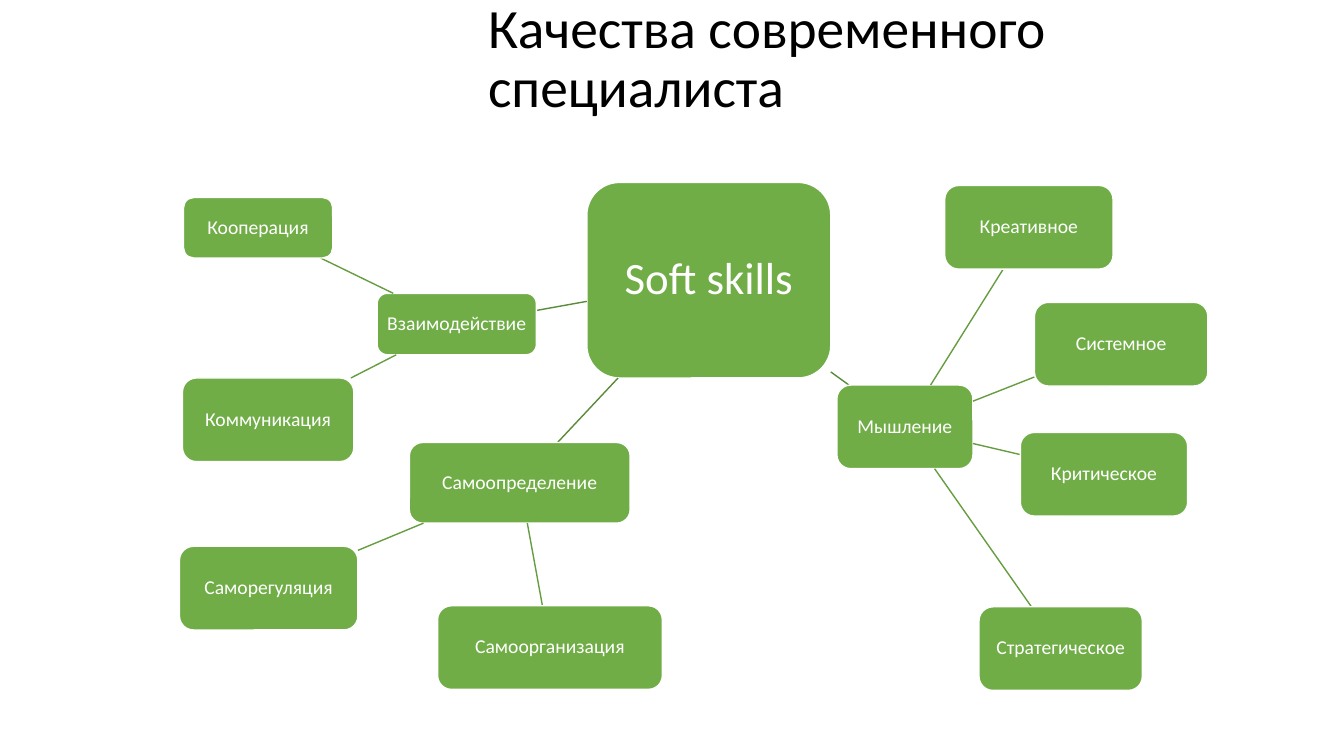
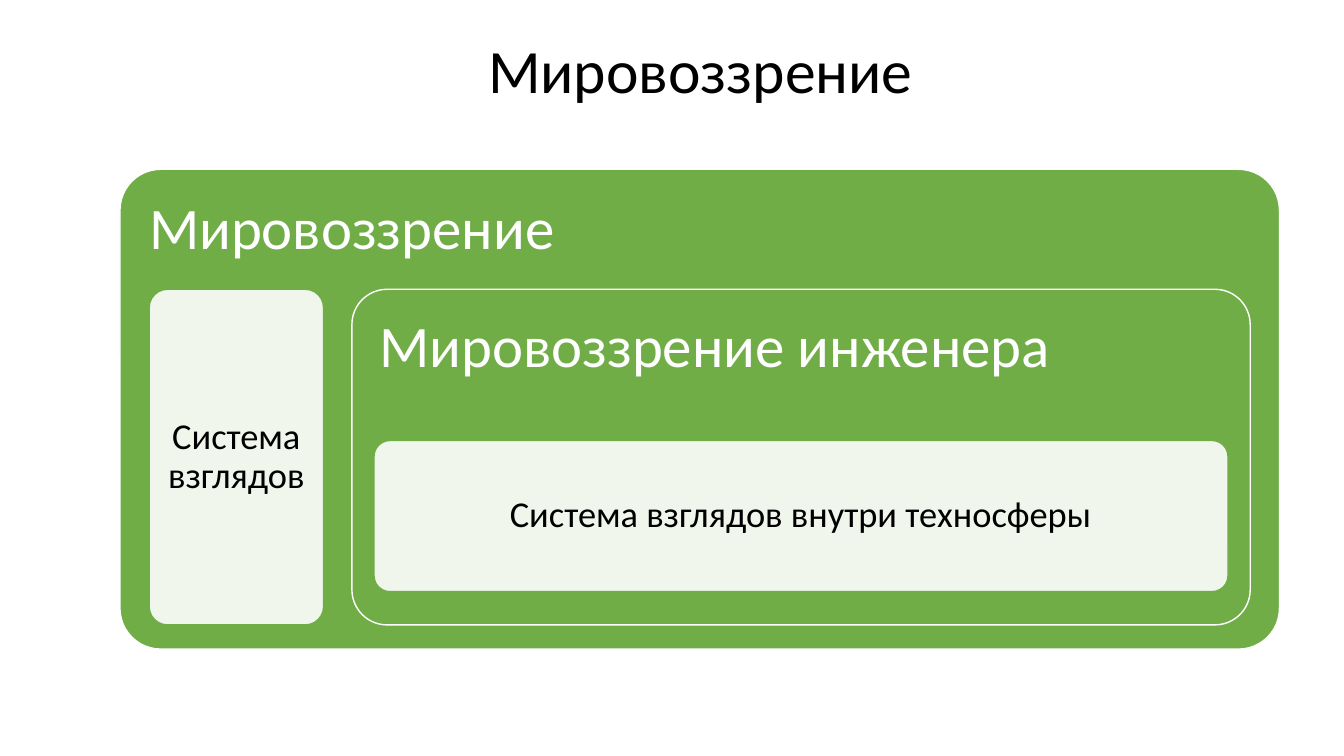
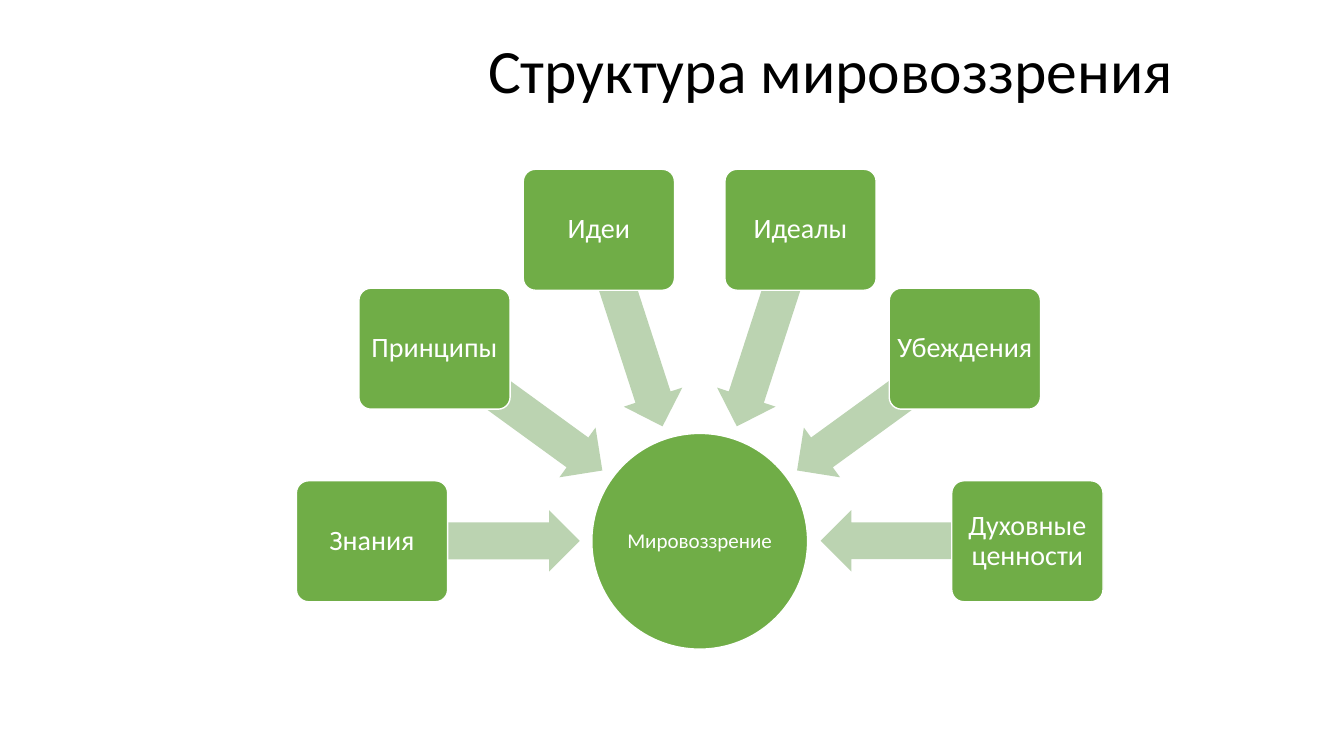
import math

import lxml.etree
import pptx
import pptx.dml.color
import pptx.enum.shapes
import pptx.enum.text
import pptx.oxml.ns
import pptx.util

PX = 9144  # EMU per px, 100 px to the inch
GREEN, TRUNK, BRANCH, PALE_GREEN = "70AD47", "5A8B39", "669D40", "BBD3B1"
WHITE, BLACK = "FFFFFF", "000000"

rgb = pptx.dml.color.RGBColor.from_string
qn = pptx.oxml.ns.qn
SHAPE = pptx.enum.shapes.MSO_SHAPE
ALIGN = pptx.enum.text.PP_ALIGN
ANCHOR = pptx.enum.text.MSO_ANCHOR


def write(frame, text, size, color, margin=None, align=ALIGN.CENTER, anchor=ANCHOR.MIDDLE):
    frame_format = {"word_wrap": True, "auto_size": pptx.enum.text.MSO_AUTO_SIZE.NONE,
                    "vertical_anchor": anchor}
    if margin is not None:
        for side in ("left", "right", "top", "bottom"):
            frame_format[f"margin_{side}"] = margin * PX
    for name, value in frame_format.items():
        setattr(frame, name, value)
    frame.text = text
    paragraph = frame.paragraphs[0]
    for name, value in {"alignment": align, "line_spacing": 0.9}.items():
        setattr(paragraph, name, value)
    for name, value in {"name": "Calibri", "size": pptx.util.Pt(size)}.items():
        setattr(paragraph.font, name, value)
    paragraph.font.color.rgb = rgb(color)


def block(slide, kind, place, fill, line=None, adjustments=()):
    shape = slide.shapes.add_shape(kind, *(round(value) * PX for value in place))
    shape.shadow.inherit = False
    shape.fill.solid()
    shape.fill.fore_color.rgb = rgb(fill)
    if line:
        shape.line.color.rgb = rgb(line)
        shape.line.width = pptx.util.Pt(1)
    else:
        shape.line.fill.background()
    for index, value in enumerate(adjustments):
        shape.adjustments[index] = value
    return shape


deck = pptx.Presentation()
deck.slide_width, deck.slide_height = 1333 * PX, 750 * PX

# Slides with their titles
titles = [
    ("Качества современного специалиста", (474, 0, 842, 119), 39.6),
    ("Мировоззрение", (474, 13, 812, 119), 44),
    ("Структура мировоззрения", (474, 13, 812, 119), 44),
]
for text, place, size in titles:
    title = deck.slides.add_slide(deck.slide_layouts[5]).shapes.title
    for name, value in zip(("left", "top", "width", "height"), place):
        setattr(title, name, value * PX)
    write(title.text_frame, text, size, BLACK, align=ALIGN.LEFT)
skills_slide, worldview_slide, structure_slide = deck.slides

# Slide 1: tree of skills, each with its parent and place
ROOT = "Soft skills"
skills = {
    ROOT: (None, (582, 181, 242, 194)),
    "Мышление": (ROOT, (830, 382, 135, 83)),
    "Креативное": ("Мышление", (937, 184, 167, 83)),
    "Системное": ("Мышление", (1026, 300, 172, 83)),
    "Критическое": ("Мышление", (1012, 429, 166, 83)),
    "Стратегическое": ("Мышление", (971, 602, 162, 83)),
    "Самоопределение": (ROOT, (406, 439, 219, 80)),
    "Самоорганизация": ("Самоопределение", (434, 601, 223, 83)),
    "Саморегуляция": ("Самоопределение", (178, 542, 177, 83)),
    "Взаимодействие": (ROOT, (374, 291, 158, 61)),
    "Коммуникация": ("Взаимодействие", (181, 375, 170, 83)),
    "Кооперация": ("Взаимодействие", (182, 196, 148, 60)),
}
for skill, (parent, place) in skills.items():
    if parent:
        # The link follows the line between centres, cut at both borders
        ends = []
        for here, there in ((skills[parent][1], place), (place, skills[parent][1])):
            x, y = here[0] + here[2] / 2, here[1] + here[3] / 2
            dx, dy = there[0] + there[2] / 2 - x, there[1] + there[3] / 2 - y
            part = min(here[2] / 2 / abs(dx), here[3] / 2 / abs(dy))
            ends += [round(x + dx * part) * PX, round(y + dy * part) * PX]
        link = skills_slide.shapes.add_connector(
            pptx.enum.shapes.MSO_CONNECTOR.STRAIGHT, *ends)
        link.line.color.rgb = rgb(TRUNK if parent == ROOT else BRANCH)
        link.line.width = pptx.util.Pt(1)
        lxml.etree.SubElement(link._element.spPr, qn("a:effectLst"))
    node = block(skills_slide, SHAPE.ROUNDED_RECTANGLE, place, GREEN, WHITE)
    size, margin = (14, 4) if parent else (32, 9)
    write(node.text_frame, skill, size, WHITE, margin)

# Slide 2: nested worldviews, green frames holding white panels
nested = [
    ("Мировоззрение", (119, 168, 1150, 476), 0.085, True),
    ("Система взглядов", (148, 287, 173, 333), 0.105, False),
    ("Мировоззрение инженера", (349, 287, 891, 333), 0.105, True),
    ("Система взглядов внутри техносферы", (371, 437, 847, 150), 0.105, False),
]
for text, place, rounding, is_frame in nested:
    fill, line = (GREEN, WHITE) if is_frame else (WHITE, GREEN)
    level = block(worldview_slide, SHAPE.ROUNDED_RECTANGLE, place, fill, line, [rounding])
    if is_frame:
        write(level.text_frame, text, 42, WHITE, 17, ALIGN.LEFT, ANCHOR.TOP)
    else:
        write(level.text_frame, text, 26, BLACK, 11)
        fill_color = level._element.spPr.find(".//" + qn("a:srgbClr"))
        lxml.etree.SubElement(fill_color, qn("a:alpha"), val="90000")

# Slide 3: elements on a half circle, with arrows to the hub
HUB_X, HUB_Y, HUB_SIZE = 694, 537, 214
ELEMENT_RADIUS, ELEMENT_W, ELEMENT_H = 325, 150, 120
ARROW_RADIUS, ARROW_W, ARROW_H = 222, 205, 61
hub = block(structure_slide, SHAPE.OVAL,
            (HUB_X - HUB_SIZE / 2, HUB_Y - HUB_SIZE / 2, HUB_SIZE, HUB_SIZE), GREEN, WHITE)
write(hub.text_frame, "Мировоззрение", 15, WHITE, 1)

elements = ["Знания", "Принципы", "Идеи", "Идеалы", "Убеждения", "Духовные ценности"]
for index, element in enumerate(elements):
    angle = 180 + index * 180 / (len(elements) - 1)
    cos, sin = math.cos(math.radians(angle)), math.sin(math.radians(angle))
    arrow = block(structure_slide, SHAPE.LEFT_ARROW,
                  (HUB_X + ARROW_RADIUS * cos - ARROW_W / 2,
                   HUB_Y + ARROW_RADIUS * sin - ARROW_H / 2, ARROW_W, ARROW_H),
                  PALE_GREEN, adjustments=[0.6, 0.5])
    arrow.rotation = angle % 360
    card = block(structure_slide, SHAPE.ROUNDED_RECTANGLE,
                 (HUB_X + ELEMENT_RADIUS * cos - ELEMENT_W / 2,
                  HUB_Y + ELEMENT_RADIUS * sin - ELEMENT_H / 2, ELEMENT_W, ELEMENT_H),
                 GREEN, WHITE, [0.1])
    write(card.text_frame, element, 20, WHITE, 3)

deck.save("out.pptx")
